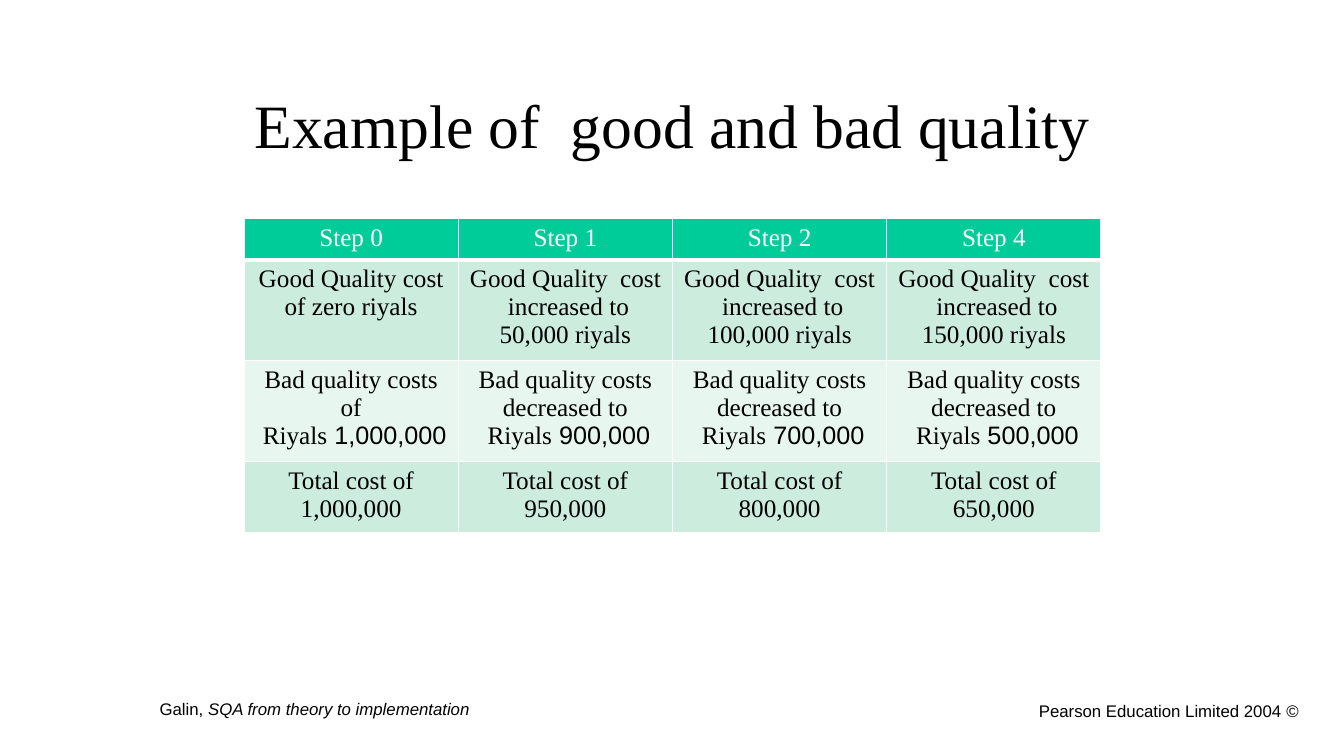
from lxml import etree
from pptx import Presentation
from pptx.dml.color import RGBColor
from pptx.enum.text import MSO_ANCHOR, MSO_AUTO_SIZE, PP_ALIGN
from pptx.oxml.ns import qn
from pptx.util import Inches, Pt

BLACK = RGBColor(0x00, 0x00, 0x00)
WHITE = RGBColor(0xFF, 0xFF, 0xFF)
GREEN = RGBColor(0x00, 0xCC, 0x99)
MINT = RGBColor(0xCC, 0xEC, 0xDE)
PALE_MINT = RGBColor(0xE7, 0xF6, 0xEF)
SERIF, SANS = "Times New Roman", "Arial"

ROW_FILLS = [GREEN, MINT, PALE_MINT, MINT]
STEPS = [
    ("Step 0", "Good Quality cost of zero riyals",
     "Bad quality costs of\n1,000,000 Riyals ", "Total cost of 1,000,000"),
    ("Step 1", "Good Quality  cost  increased to 50,000 riyals",
     "Bad quality costs decreased to\n900,000 Riyals ", "Total cost of 950,000"),
    ("Step 2", "Good Quality  cost  increased to 100,000 riyals",
     "Bad quality costs decreased to\n700,000 Riyals ", "Total cost of 800,000"),
    ("Step 4", "Good Quality  cost  increased to 150,000 riyals",
     "Bad quality costs decreased to\n500,000 Riyals ", "Total cost of 650,000"),
]


def place(shape, left, top, width, height):
    shape.left, shape.top = Inches(left), Inches(top)
    shape.width, shape.height = Inches(width), Inches(height)


def set_right_to_left(paragraph, align):
    paragraph.alignment = align
    paragraph._p.get_or_add_pPr().set("rtl", "1")


def add_run(paragraph, text, size, font, color, italic=None):
    """Add a run; digits that lead a right-to-left line use the sans font."""
    run = paragraph.add_run()
    run.text = text
    run.font.size, run.font.name = Pt(size), font
    run.font.bold, run.font.italic = False, italic
    run.font.color.rgb = color
    etree.SubElement(run._r.get_or_add_rPr(), qn("a:cs"), typeface=SANS)


def add_title(slide, text):
    title = slide.shapes.title
    place(title, 2.42, 0.6, 8.5, 1.25)
    title.text_frame.vertical_anchor = MSO_ANCHOR.MIDDLE
    paragraph = title.text_frame.paragraphs[0]
    paragraph.alignment = PP_ALIGN.CENTER
    add_run(paragraph, text, 44, SERIF, BLACK)


def add_footer(slide, box, runs, wrap):
    footer = slide.shapes.add_textbox(*map(Inches, box))
    frame = footer.text_frame
    frame.word_wrap = wrap
    if not wrap:
        frame.auto_size = MSO_AUTO_SIZE.SHAPE_TO_FIT_TEXT
    paragraph = frame.paragraphs[0]
    set_right_to_left(paragraph, PP_ALIGN.RIGHT)
    for text, italic in runs:
        add_run(paragraph, text, 12, SANS, BLACK, italic)


def add_header_borders(cell):
    properties = cell._tc.get_or_add_tcPr()
    for side, points in (("L", 1), ("R", 1), ("T", 1), ("B", 3)):
        line = etree.SubElement(properties, qn(f"a:ln{side}"), w=str(Pt(points)))
        fill = etree.SubElement(line, qn("a:solidFill"))
        etree.SubElement(fill, qn("a:srgbClr"), val=str(WHITE))


def fill_cell(cell, text, fill, color):
    cell.fill.solid()
    cell.fill.fore_color.rgb = fill
    frame = cell.text_frame
    for index, line in enumerate(text.split("\n")):
        paragraph = frame.add_paragraph() if index else frame.paragraphs[0]
        set_right_to_left(paragraph, PP_ALIGN.CENTER)
        add_run(paragraph, line, 18, SERIF, color)


def add_cost_table(slide):
    graphic_frame = slide.shapes.add_table(
        len(ROW_FILLS), len(STEPS), Inches(2.42), Inches(2.17), Inches(8.5), Inches(3.11))
    table = graphic_frame.table
    for row in table.rows:
        row.height = Inches(0.41)
    graphic_frame.height = Inches(3.11)
    for column, step in enumerate(STEPS):
        add_header_borders(table.cell(0, column))
        for row, (text, fill) in enumerate(zip(step, ROW_FILLS)):
            fill_cell(table.cell(row, column), text, fill, BLACK if row else WHITE)


def main():
    presentation = Presentation()
    presentation.slide_width, presentation.slide_height = Inches(13.33), Inches(7.5)
    slide = presentation.slides.add_slide(presentation.slide_layouts[5])
    add_footer(slide, (1.46, 6.88, 3.3, 0.3),
               [("Galin, ", None), ("SQA from theory to implementation", True)], wrap=False)
    add_footer(slide, (8.85, 6.9, 4.13, 0.39),
               [("© Pearson Education Limited 2004", None)], wrap=True)
    add_title(slide, "Example of  good and bad quality")
    add_cost_table(slide)
    presentation.save("out.pptx")


if __name__ == "__main__":
    main()
